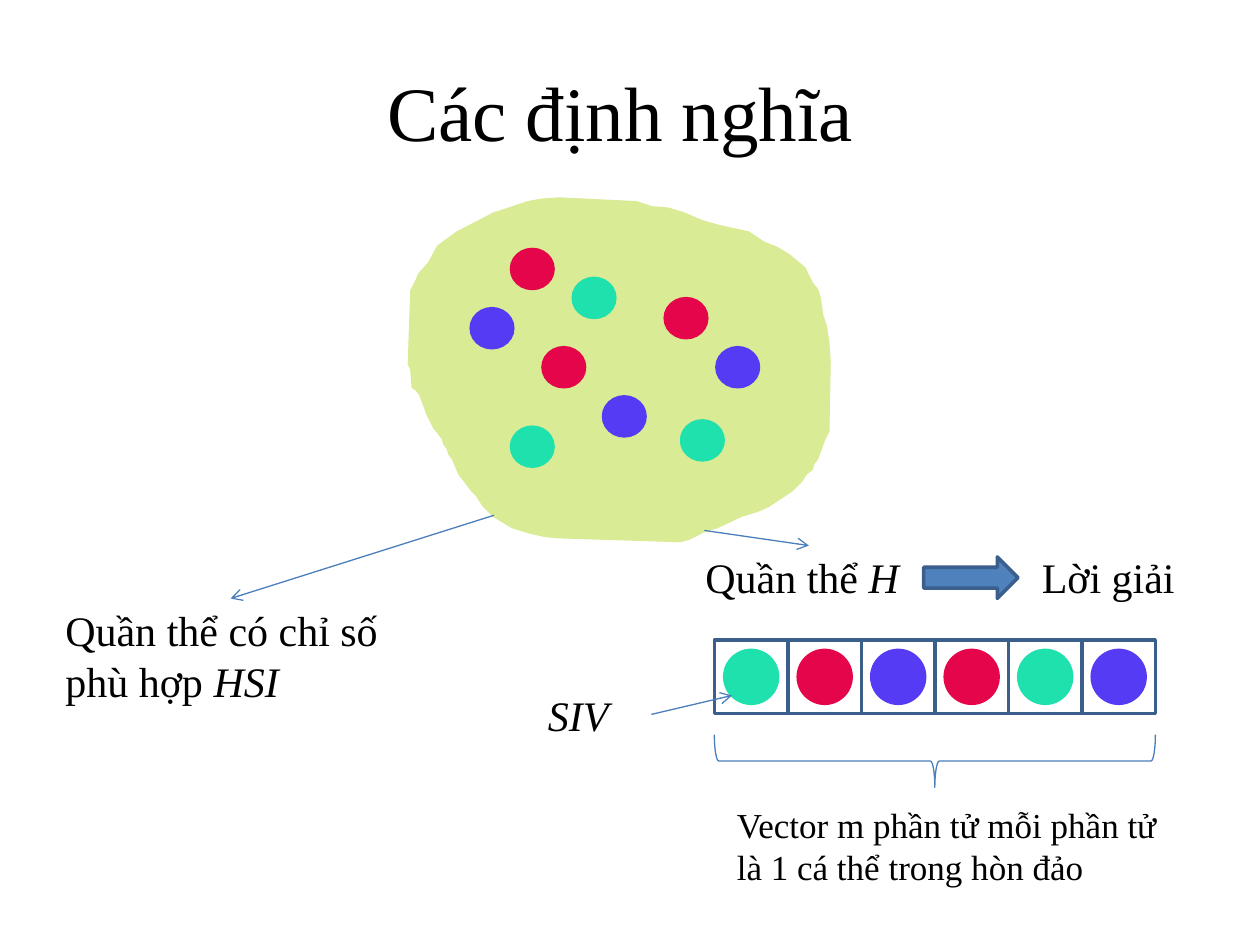
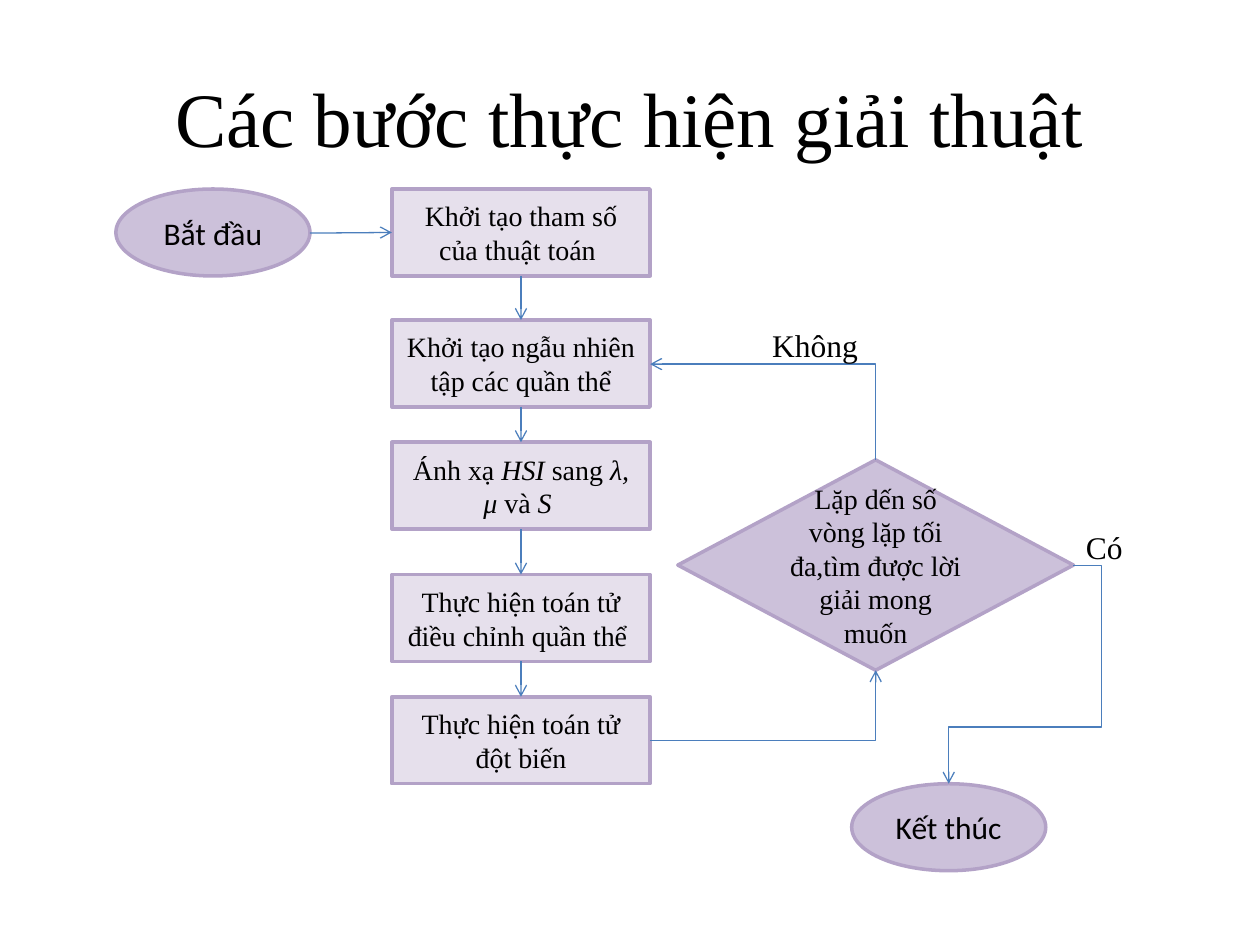
from dataclasses import dataclass
from lxml import etree
from pptx import Presentation
from pptx import util as u
from pptx.dml.color import RGBColor
from pptx.enum import shapes, text
from pptx.oxml.ns import qn

In = u.Inches
Kind = shapes.MSO_SHAPE
Link = shapes.MSO_CONNECTOR


@dataclass(frozen=True)
class Theme:
    serif: str = "Times New Roman"
    sans: str = "Calibri"
    ink: str = "000000"
    island: str = "D9EB95"
    red: str = "E5054A"
    green: str = "1FE1AE"
    blue: str = "553BF3"
    arrow: str = "4F81BD"
    edge: str = "3A5F8C"
    wire: str = "4B7EBC"
    pale: str = "E6E0EC"
    lilac: str = "CCC1DA"
    rim: str = "B3A2C7"
    title: int = 44
    large: int = 24
    mid: int = 20
    label: int = 18
    step: int = 16
    bold: float = 2
    thin: float = 0.75


T = Theme()

COAST = [
    (328, 307), (327, 293), (325, 289), (327, 231), (331, 223), (333, 218),
    (341, 209), (348, 196), (363, 185), (392, 170), (404, 166), (419, 161),
    (430, 159), (444, 158), (505, 161), (517, 165), (530, 166), (543, 170),
    (557, 176), (571, 180), (594, 185), (606, 193), (616, 197), (626, 203),
    (638, 213), (644, 225), (648, 230), (650, 236), (651, 242), (652, 250),
    (655, 259), (657, 272), (658, 287), (657, 342), (654, 348), (648, 364),
    (645, 368), (644, 372), (639, 376), (636, 381), (628, 389), (610, 401),
    (601, 405), (588, 409), (569, 418), (559, 421), (547, 427), (540, 429),
    (445, 426), (433, 425), (420, 422), (407, 418), (392, 409), (384, 401),
    (379, 393), (375, 389), (369, 381), (365, 376), (360, 364), (357, 360),
    (356, 356), (353, 352), (352, 348), (345, 339), (340, 329), (334, 313),
    (331, 309),
]
DOTS = {
    T.red: [(4.06, 1.98), (5.28, 2.37), (4.31, 2.76)],
    T.green: [(5.41, 3.34), (4.06, 3.39), (4.55, 2.21)],
    T.blue: [(3.74, 2.45), (4.79, 3.15), (5.69, 2.76)],
}
VECTOR = [T.green, T.red, T.blue, T.red, T.green, T.blue]
NOTES = [
    ("Quần thể *H*", (5.5, 4.33, 1.83, 0.5), T.large),
    ("Lời giải", (8.17, 4.33, 1.83, 0.5), T.large),
    ("Quần thể có chỉ số phù hợp *HSI*", (0.42, 4.75, 2.83, 0.91), T.large),
    ("*SIV*", (4.25, 5.42, 0.92, 0.5), T.large),
    ("Vector m phần tử mỗi phần tử là 1 cá thể trong hòn đảo",
     (5.75, 6.33, 3.58, 0.77), T.mid),
]
POINTERS = [
    (3.92, 4.09, 1.83, 4.75),
    (5.59, 4.21, 6.42, 4.33),
    (5.17, 5.67, 5.81, 5.52),
]
STEPS = [
    (1.5, "Khởi tạo tham số của thuật toán "),
    (2.54, "Khởi tạo ngẫu nhiên tập các quần thể"),
    (3.51, "Ánh xạ* HSI* sang *λ, μ *và *S *"),
    (4.56, "Thực hiện toán tử điều chỉnh quần thể "),
    (5.53, "Thực hiện toán tử đột biến"),
]
ENDS = [("Bắt đầu", 0.92, 1.5), ("Kết thúc", 6.76, 6.22)]
TEST = "Lặp dến số vòng lặp tối đa,tìm được lời giải mong muốn"
ANSWERS = [
    ("Có", (8.52, 4.14, 0.73, 0.34), T.label),
    ("Không", (6.03, 2.54, 0.88, 0.34), T.label),
]
BENDS = [
    ((5.16, 5.88, 6.95, 5.32), "bentConnector2", "tail", ()),
    ((5.16, 2.89, 6.95, 3.65), "bentConnector2", "head", ()),
    ((8.52, 4.49, 7.53, 6.22), "bentConnector4", "tail", (-22200, 74000)),
]


def write(shape, words, size, face=T.serif, center=False):
    frame = shape.text_frame
    frame.word_wrap = True
    para = frame.paragraphs[0]
    font = para.font
    font.name, font.size = face, u.Pt(size)
    font.color.rgb = RGBColor.from_string(T.ink)
    if center:
        para.alignment = text.PP_ALIGN.CENTER
        frame.vertical_anchor = text.MSO_ANCHOR.MIDDLE
    for i, part in enumerate(words.split("*")):
        if part:
            run = para.add_run()
            run.text = part
            if i % 2:
                run.font.italic = True


def paint(shape, fill, line, width=T.bold):
    shape.shadow.inherit = False
    if fill:
        shape.fill.solid()
        shape.fill.fore_color.rgb = RGBColor.from_string(fill)
    else:
        shape.fill.background()
    shape.line.color.rgb = RGBColor.from_string(line)
    shape.line.width = u.Pt(width)
    return shape


def draw(slide, kind, box, fill, line, width=T.bold):
    shape = slide.shapes.add_shape(kind, *map(In, box))
    return paint(shape, fill, line, width)


def note(slide, words, box, size, center=False):
    write(slide.shapes.add_textbox(*map(In, box)), words, size, center=center)


def wire(slide, ends, kind=Link.STRAIGHT, tip="tail"):
    link = slide.shapes.add_connector(kind, *map(In, ends))
    link.line.color.rgb = RGBColor.from_string(T.wire)
    link.line.width = u.Pt(T.thin)
    props = link._element.spPr
    etree.SubElement(props.find(qn("a:ln")), qn(f"a:{tip}End"), type="arrow")
    etree.SubElement(props, qn("a:effectLst"))
    return link


def bend(slide, ends, preset, tip, stops):
    link = wire(slide, ends, Link.ELBOW, tip)
    geom = link._element.spPr.find(qn("a:prstGeom"))
    geom.set("prst", preset)
    guides = geom.find(qn("a:avLst"))
    for i, stop in enumerate(stops, 1):
        etree.SubElement(guides, qn("a:gd"), name=f"adj{i}", fmla=f"val {stop}")


def start(deck, title, top):
    slide = deck.slides.add_slide(deck.slide_layouts[6])
    note(slide, title, (0.5, top, 9, 1.25), T.title, center=True)
    return slide


def define(deck):
    slide = start(deck, "Các định nghĩa ", 0.25)
    pen = slide.shapes.build_freeform(*COAST[0], scale=In(0.01))
    pen.add_line_segments(COAST[1:], close=True)
    paint(pen.convert_to_shape(), T.island, T.island)
    for color, spots in DOTS.items():
        for x, y in spots:
            draw(slide, Kind.OVAL, (x, y, 0.33, 0.31), color, color)

    left, top, cell, dot = 5.67, 5.08, 3.5 / len(VECTOR), 0.42
    pad = (cell - dot) / 2
    for i, color in enumerate(VECTOR):
        x = left + i * cell
        draw(slide, Kind.RECTANGLE, (x, top, cell, cell), None, T.edge)
        draw(slide, Kind.OVAL, (x + pad, top + pad, dot, dot), color, color)
    brace = draw(slide, Kind.LEFT_BRACE, (7.21, 4.29, 0.42, 3.5),
                 None, T.wire, T.thin)
    brace.rotation = 270
    draw(slide, Kind.RIGHT_ARROW, (7.33, 4.42, 0.75, 0.33), T.arrow, T.edge)
    for item in NOTES:
        note(slide, *item)
    for ends in POINTERS:
        wire(slide, ends)


def flow(deck):
    slide = start(deck, "Các bước thực hiện giải thuật", 0.3)
    left, wide, high = 3.11, 2.05, 0.69
    boxes = []
    for top, words in STEPS:
        box = draw(slide, Kind.RECTANGLE, (left, top, wide, high), T.pale, T.rim)
        write(box, words, T.step, center=True)
        boxes.append(box)
    for upper, lower in zip(boxes, boxes[1:]):
        link = wire(slide, (0, 0, 0, 0))
        link.begin_connect(upper, 2)
        link.end_connect(lower, 0)

    test = draw(slide, Kind.DIAMOND, (5.38, 3.65, 3.14, 1.67), T.lilac, T.rim)
    write(test, TEST, T.step, center=True)
    for words, x, y in ENDS:
        oval = draw(slide, Kind.OVAL, (x, y, 1.54, high), T.lilac, T.rim)
        write(oval, words, T.label, T.sans, center=True)
    entry = wire(slide, (2.46, 1.85, left, 1.85))
    entry.end_connect(boxes[0], 1)
    for item in BENDS:
        bend(slide, *item)
    for item in ANSWERS:
        note(slide, *item)


def main():
    deck = Presentation()
    deck.slide_width, deck.slide_height = In(10), In(7.5)
    define(deck)
    flow(deck)
    deck.save("out.pptx")


if __name__ == "__main__":
    main()
